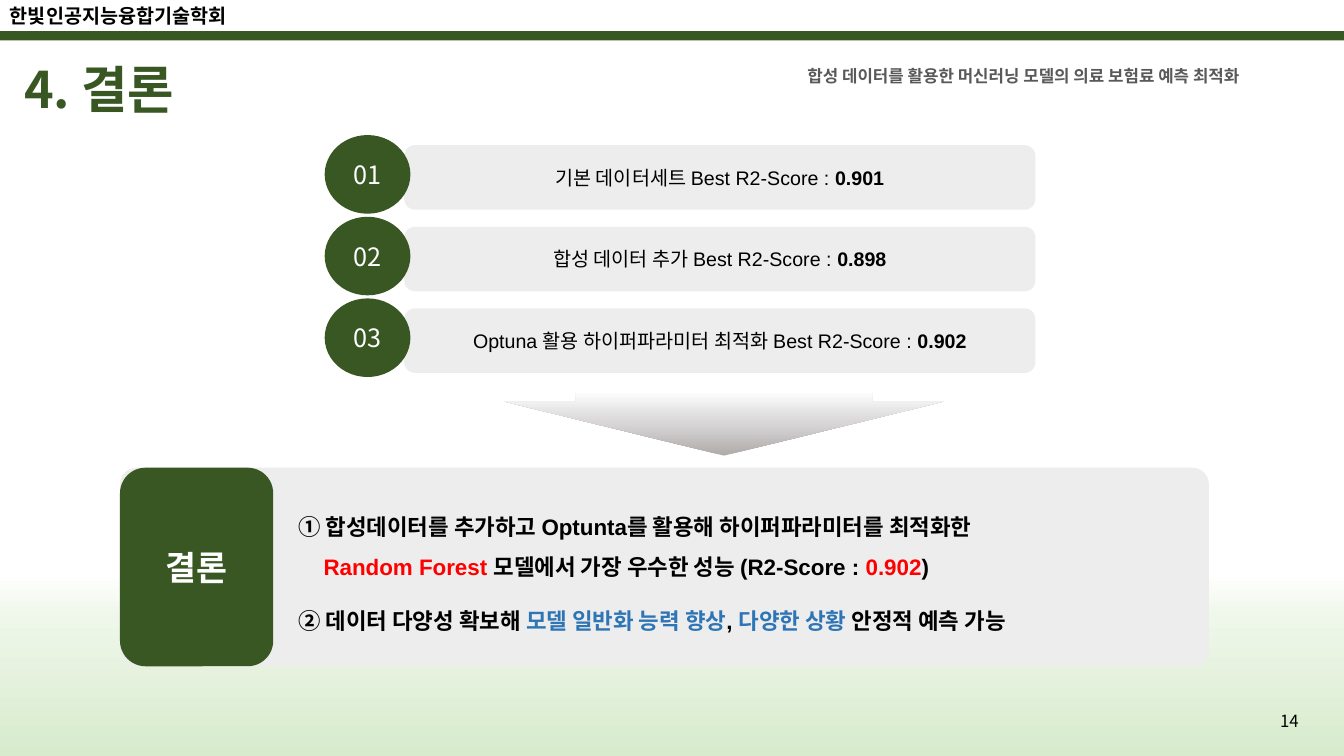
import copy

import pptx
import pptx.dml.color
import pptx.enum.shapes
import pptx.enum.text
import pptx.oxml.ns
import pptx.util

COLORS = {
    "green": "385723", "panel": "EDEDED", "black": "000000", "white": "FFFFFF",
    "gray": "595959", "red": "FF0000", "blue": "2E75B6",
}
BAND_STOPS = [(0, "D8EBCD"), (75, "EEF7E9"), (100, "FFFFFF")]
ARROW_STOPS = [(0, "AFABAB"), (51, "D8D6D6"), (100, "FFFFFF")]
KOREAN_FONT = "Noto Sans CJK KR"
SHAPES = pptx.enum.shapes.MSO_SHAPE
ALIGN = pptx.enum.text.PP_ALIGN
ANCHOR = pptx.enum.text.MSO_ANCHOR

presentation = pptx.Presentation()
presentation.slide_width = pptx.util.Inches(13.33)
presentation.slide_height = pptx.util.Inches(7.5)
slide = presentation.slides.add_slide(presentation.slide_layouts[6])
column = presentation.slide_width / 100
row = presentation.slide_height / 100


def add_box(kind, left, top, width, height, fill=None):
    """Place a shape, or a text box if kind is None, in hundredths of the slide.

    fill is a colour name or a list of (percent, hex) stops from bottom to top.
    """
    place = [int(left * column), int(top * row), int(width * column), int(height * row)]
    if kind is None:
        shape = slide.shapes.add_textbox(*place)
        shape.text_frame.word_wrap = True
        return shape
    shape = slide.shapes.add_shape(kind, *place)
    shape.shadow.inherit = False
    shape.line.fill.background()
    if isinstance(fill, str):
        shape.fill.solid()
        shape.fill.fore_color.rgb = pptx.dml.color.RGBColor.from_string(COLORS[fill])
        return shape
    shape.fill.gradient()
    shape.fill.gradient_angle = 90
    stop_list = shape._element.spPr.find(".//" + pptx.oxml.ns.qn("a:gsLst"))
    stop_list.append(copy.deepcopy(stop_list[-1]))
    for stop, (percent, color) in zip(shape.fill.gradient_stops, fill):
        stop.position = percent / 100
        stop.color.rgb = pptx.dml.color.RGBColor.from_string(color)
    return shape


def write(paragraph, runs, size, font=KOREAN_FONT, align=ALIGN.LEFT, spacing=None):
    """Add runs given as (text, colour name, bold) to a paragraph."""
    paragraph.alignment = align
    paragraph.line_spacing = spacing
    for text, color, bold in runs:
        run = paragraph.add_run()
        run.text = text
        run.font.size = pptx.util.Pt(size)
        run.font.name = font
        run.font.bold = bold
        run.font.color.rgb = pptx.dml.color.RGBColor.from_string(COLORS[color])
        east_asian = run._r.get_or_add_rPr().makeelement(
            pptx.oxml.ns.qn("a:ea"), {"typeface": KOREAN_FONT})
        run._r.rPr.append(east_asian)


# Background and header
add_box(SHAPES.RECTANGLE, 0, 75.73, 100, 24.27, BAND_STOPS)
add_box(SHAPES.RECTANGLE, 0, 4.13, 100, 1.2, "green")

society = add_box(None, 0, -0.13, 19.2, 4.53)
society.text_frame.word_wrap = False
write(society.text_frame.paragraphs[0], [("한빛인공지능융합기술학회", "black", True)], 14)

page_number = add_box(None, 74.87, 92.67, 22.5, 5.33)
page_number.text_frame.vertical_anchor = ANCHOR.MIDDLE
write(page_number.text_frame.paragraphs[0], [("14", "black", False)], 12, align=ALIGN.RIGHT)

title = add_box(None, 1.05, 7.47, 36.46, 9.47)
title.text_frame.vertical_anchor = ANCHOR.MIDDLE
write(title.text_frame.paragraphs[0], [("4. 결론", "green", True)], 36, spacing=0.9)

subtitle = add_box(None, 59.34, 8, 38.03, 4)
write(subtitle.text_frame.paragraphs[0],
      [("합성 데이터를 활용한 머신러닝 모델의 의료 보험료 예측 최적화", "gray", True)], 12)

# Numbered scores
scores = [
    ("기본 데이터세트", "0.901"),
    ("합성 데이터 추가", "0.898"),
    ("Optuna 활용 하이퍼파라미터 최적화", "0.902"),
]
for index, (method, score) in enumerate(scores):
    offset = index * 10.8
    bar = add_box(SHAPES.FLOWCHART_ALTERNATE_PROCESS, 30.08, 19.2 + offset, 46.96, 8.53, "panel")
    bar.text_frame.vertical_anchor = ANCHOR.MIDDLE
    write(bar.text_frame.paragraphs[0],
          [(f"{method} Best R2-Score : ", "black", False), (score, "black", True)],
          14, "Arial", ALIGN.CENTER)
    circle = add_box(SHAPES.OVAL, 24.16, 17.87 + offset, 6.38, 10.4, "green")
    circle.text_frame.vertical_anchor = ANCHOR.MIDDLE
    write(circle.text_frame.paragraphs[0], [(f"{index + 1:02}", "white", False)],
          18, align=ALIGN.CENTER)

arrow = add_box(SHAPES.DOWN_ARROW, 37.51, 51.73, 32.71, 8.53, ARROW_STOPS)
arrow.adjustments[0] = 0.675
arrow.adjustments[1] = 0.839

# Conclusion
panel = add_box(SHAPES.ROUNDED_RECTANGLE, 8.93, 61.87, 81.02, 26.27, "panel")
panel.adjustments[0] = 0.083
label = add_box(SHAPES.ROUNDED_RECTANGLE, 8.93, 61.87, 11.4, 26.27, "green")
label.text_frame.vertical_anchor = ANCHOR.MIDDLE
write(label.text_frame.paragraphs[0], [("결론", "white", True)], 24, align=ALIGN.CENTER)

findings = [
    (1.5, 0, [("① 합성데이터를 추가하고 Optunta를 활용해 하이퍼파라미터를 최적화한", "black", True)]),
    (1.5, 0.25, [("Random Forest ", "red", True),
                 ("모델에서 가장 우수한 성능 (R2-Score : ", "black", True),
                 ("0.902", "red", True), (")", "black", True)]),
    (2.0, 0, [("② 데이터 다양성 확보해 ", "black", True),
              ("모델 일반화 능력 향상", "blue", True), (", ", "black", True),
              ("다양한 상황 ", "blue", True), ("안정적 예측 가능", "black", True)]),
]
conclusion = add_box(None, 21.46, 65.47, 68.49, 19.33).text_frame
for index, (spacing, indent, runs) in enumerate(findings):
    paragraph = conclusion.add_paragraph() if index else conclusion.paragraphs[0]
    write(paragraph, runs, 16, "Arial", spacing=spacing)
    paragraph._p.get_or_add_pPr().set("marL", str(pptx.util.Inches(indent)))

presentation.save("out.pptx")
